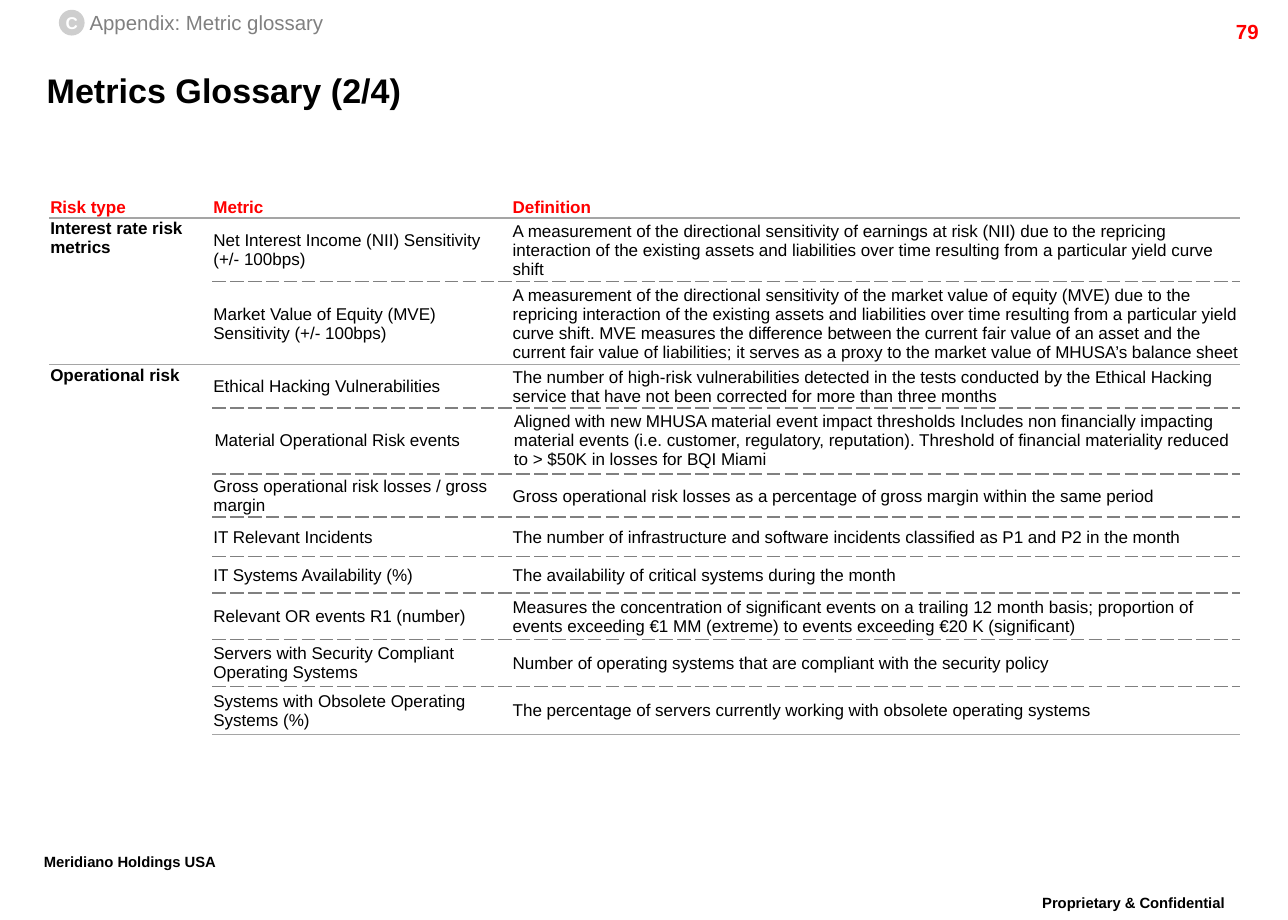
import pptx
import pptx.util
import pptx.dml.color
import pptx.enum.shapes
import pptx.enum.text
import pptx.oxml
import pptx.oxml.ns

Inches = pptx.util.Inches
ALIGN = pptx.enum.text.PP_ALIGN
MIDDLE = pptx.enum.text.MSO_ANCHOR.MIDDLE

theme = {
    "font": "Arial",
    "black": "000000", "red": "FF0000", "white": "FFFFFF",
    "grey": "808080", "badge": "CECECE", "rule": "A5A5A5",
    "title": 20, "label": 12, "body": 10, "footer": 15,
}


def write(frame, text, size, color, bold=False, align=ALIGN.LEFT):
    """Put one styled paragraph into a text frame and return it."""
    paragraph = frame.paragraphs[0]
    paragraph.alignment = align
    run = paragraph.add_run()
    run.text = text
    look = {"name": theme["font"], "size": pptx.util.Pt(theme[size]), "bold": bold}
    for name, value in look.items():
        setattr(run.font, name, value)
    run.font.color.rgb = pptx.dml.color.RGBColor.from_string(theme[color])
    return paragraph


def draw_border(cell, side, color, points, dash):
    """Add one cell border; side is L, R, T or B."""
    cell._tc.get_or_add_tcPr().append(pptx.oxml.parse_xml(
        f'<a:ln{side} {pptx.oxml.ns.nsdecls("a")} w="{pptx.util.Pt(points)}">'
        f'<a:solidFill><a:srgbClr val="{theme[color]}"/></a:solidFill>'
        f'<a:prstDash val="{dash}"/></a:ln{side}>'))


deck = pptx.Presentation()
deck.slide_width, deck.slide_height = Inches(10.5), Inches(7.5)
slide = deck.slides.add_slide(deck.slide_layouts[6])

# Footers, raised above the baseline
for text, left, top, width, align in [
    ("Proprietary & Confidential", 8.15, 7.25, 2.18, ALIGN.CENTER),
    ("Meridiano Holdings USA", 0.26, 6.91, 1.91, ALIGN.LEFT),
]:
    footer = slide.shapes.add_textbox(Inches(left), Inches(top), Inches(width), Inches(0.35))
    footer.text_frame.word_wrap = True
    line = write(footer.text_frame, text, "footer", "black", True, align)
    line.line_spacing = 0.86
    line.runs[0]._r.get_or_add_rPr().set("baseline", "30000")

# Page number
page_number = slide.shapes.add_textbox(Inches(9.36), Inches(0.11), Inches(1), Inches(0.24))
page_number.text_frame.word_wrap = True
write(page_number.text_frame, "79", "label", "red", True, ALIGN.RIGHT)

# Title
title = slide.shapes.add_textbox(Inches(0.38), Inches(0.49), Inches(9.48), Inches(0.48))
write(title.text_frame, "Metrics Glossary (2/4)", "title", "black", True)

# Section marker: lettered badge and its label
marker = slide.shapes.add_group_shape()
badge = marker.shapes.add_shape(pptx.enum.shapes.MSO_SHAPE.OVAL,
                                Inches(0.48), Inches(0.08), Inches(0.21), Inches(0.21))
badge.shadow.inherit = False
badge.fill.solid()
badge.fill.fore_color.rgb = pptx.dml.color.RGBColor.from_string(theme["badge"])
badge.line.fill.background()
write(badge.text_frame, "C", "body", "white", True, ALIGN.CENTER)
section = marker.shapes.add_textbox(Inches(0.73), Inches(0.08), Inches(1.92), Inches(0.2))
write(section.text_frame, "Appendix: Metric glossary", "label", "grey")

flush = {"margin_left": 0, "margin_right": 0, "margin_top": 0, "margin_bottom": 0,
         "vertical_anchor": MIDDLE, "word_wrap": False}
for box in (title, badge, section):
    for name, value in flush.items():
        setattr(box.text_frame, name, value)
title.text_frame.word_wrap = True

# Glossary content: risk type, then its metrics and definitions
headings = ["Risk type", "Metric", "Definition"]
roomy_metric = "Material Operational Risk events"
glossary = {
    "Interest rate risk metrics": [
        ("Net Interest Income (NII) Sensitivity (+/- 100bps)",
         "A measurement of the directional sensitivity of earnings at risk (NII) due to the "
         "repricing interaction of the existing assets and liabilities over time resulting "
         "from a particular yield curve shift"),
        ("Market Value of Equity (MVE) Sensitivity (+/- 100bps)",
         "A measurement of the directional sensitivity of the market value of equity (MVE) due "
         "to the repricing interaction of the existing assets and liabilities over time "
         "resulting from a particular yield curve shift. MVE measures the difference between "
         "the current fair value of an asset and the current fair value of liabilities; it "
         "serves as a proxy to the market value of MHUSA’s balance sheet"),
    ],
    "Operational risk": [
        ("Ethical Hacking Vulnerabilities",
         "The number of high-risk vulnerabilities detected in the tests conducted by the "
         "Ethical Hacking service that have not been corrected for more than three months"),
        (roomy_metric,
         "Aligned with new MHUSA material event impact thresholds Includes non financially "
         "impacting material events (i.e. customer, regulatory, reputation). Threshold of "
         "financial materiality reduced to > $50K in losses for BQI Miami"),
        ("Gross operational risk losses / gross margin",
         "Gross operational risk losses as a percentage of gross margin within the same period"),
        ("IT Relevant Incidents",
         "The number of infrastructure and software incidents classified as P1 and P2 in the "
         "month"),
        ("IT Systems Availability (%)",
         "The availability of critical systems during the month"),
        ("Relevant OR events R1 (number)",
         "Measures the concentration of significant events on a trailing 12 month basis; "
         "proportion of events exceeding €1 MM (extreme) to events exceeding €20 K "
         "(significant)"),
        ("Servers with Security Compliant Operating Systems",
         "Number of operating systems that are compliant with the security policy"),
        ("Systems with Obsolete Operating Systems (%)",
         "The percentage of servers currently working with obsolete operating systems"),
    ],
}
rows = [headings]
group_ends = [0]
for risk_type, metrics in glossary.items():
    rows += [(risk_type if i == 0 else "", *entry) for i, entry in enumerate(metrics)]
    group_ends.append(len(rows) - 1)

# Glossary table
column_widths = [1.33, 2.44, 5.94]
row_heights = [0.17, 0.52, 0.67, 0.35, 0.54, 0.35, 0.32, 0.3, 0.38, 0.38, 0.39]
table = slide.shapes.add_table(len(rows), len(headings), Inches(0.4), Inches(1.6),
                               Inches(sum(column_widths)), Inches(sum(row_heights))).table
table.first_row = table.horz_banding = False
table._tbl.tblPr.find(pptx.oxml.ns.qn("a:tableStyleId")).text = (
    "{2D5ABB26-0587-4C30-8999-92F81FD0307C}")
for column, width in zip(table.columns, column_widths):
    column.width = Inches(width)
for row, height in zip(table.rows, row_heights):
    row.height = Inches(height)
for above, end in zip(group_ends, group_ends[1:]):
    table.cell(above + 1, 0).merge(table.cell(end, 0))

solid, dashed = ("rule", 0.75, "solid"), ("grey", 1, "sysDash")
for r, row in enumerate(rows):
    for c, text in enumerate(row):
        cell = table.cell(r, c)
        roomy = row[1] == roomy_metric and c > 0
        inset = Inches(0.02 if roomy else 0.01)
        layout = {"margin_left": inset, "margin_right": inset, "margin_top": inset,
                  "margin_bottom": inset if roomy else 0}
        if c > 0 or r == 0:
            layout["vertical_anchor"] = MIDDLE
        for name, value in layout.items():
            setattr(cell, name, value)
        if text:
            entry = write(cell.text_frame, text, "body", "red" if r == 0 else "black",
                          r == 0 or c == 0)
            if roomy:
                entry.space_after = pptx.util.Pt(2)
        # Solid rules close a risk type, dashed rules part its metrics
        if r > 0 and (c > 0 or r - 1 in group_ends):
            draw_border(cell, "T", *(solid if r - 1 in group_ends else dashed))
        if c > 0 or r in group_ends:
            draw_border(cell, "B", *(solid if r in group_ends else dashed))
        cell.fill.background()

deck.save("out.pptx")
